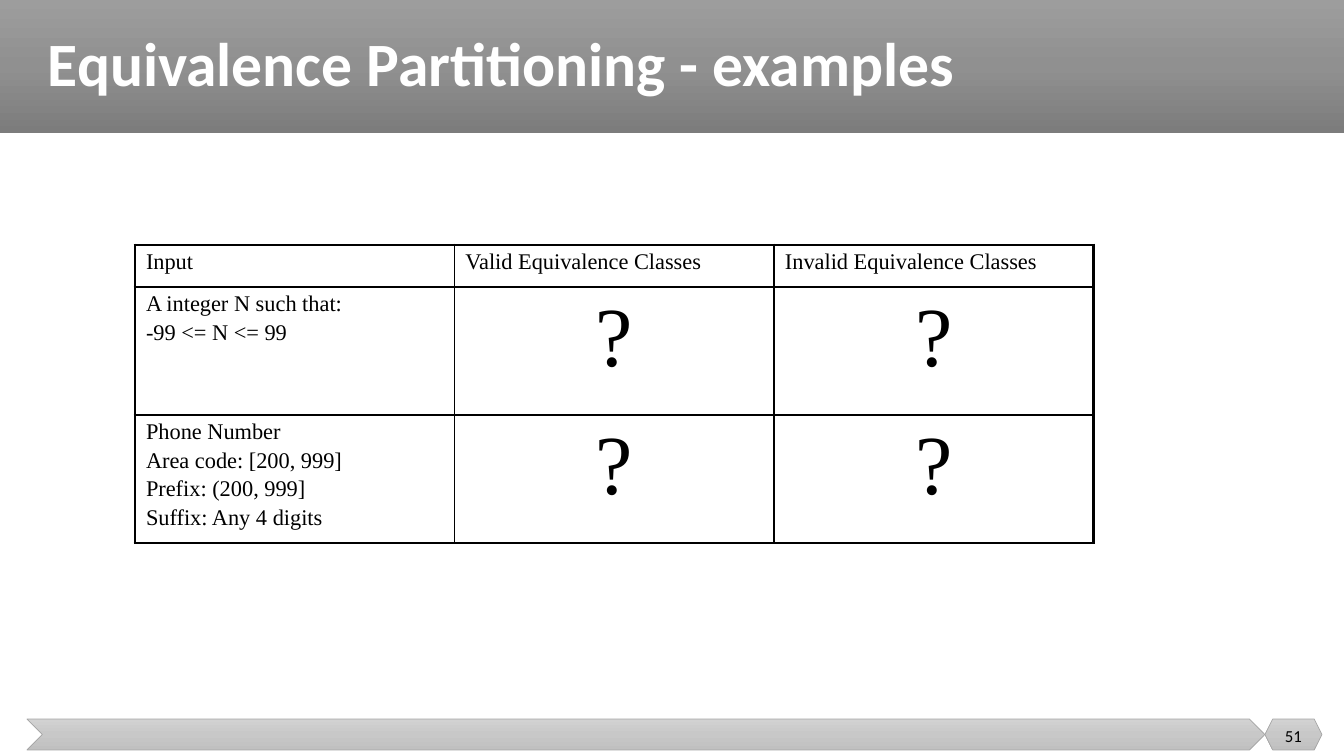
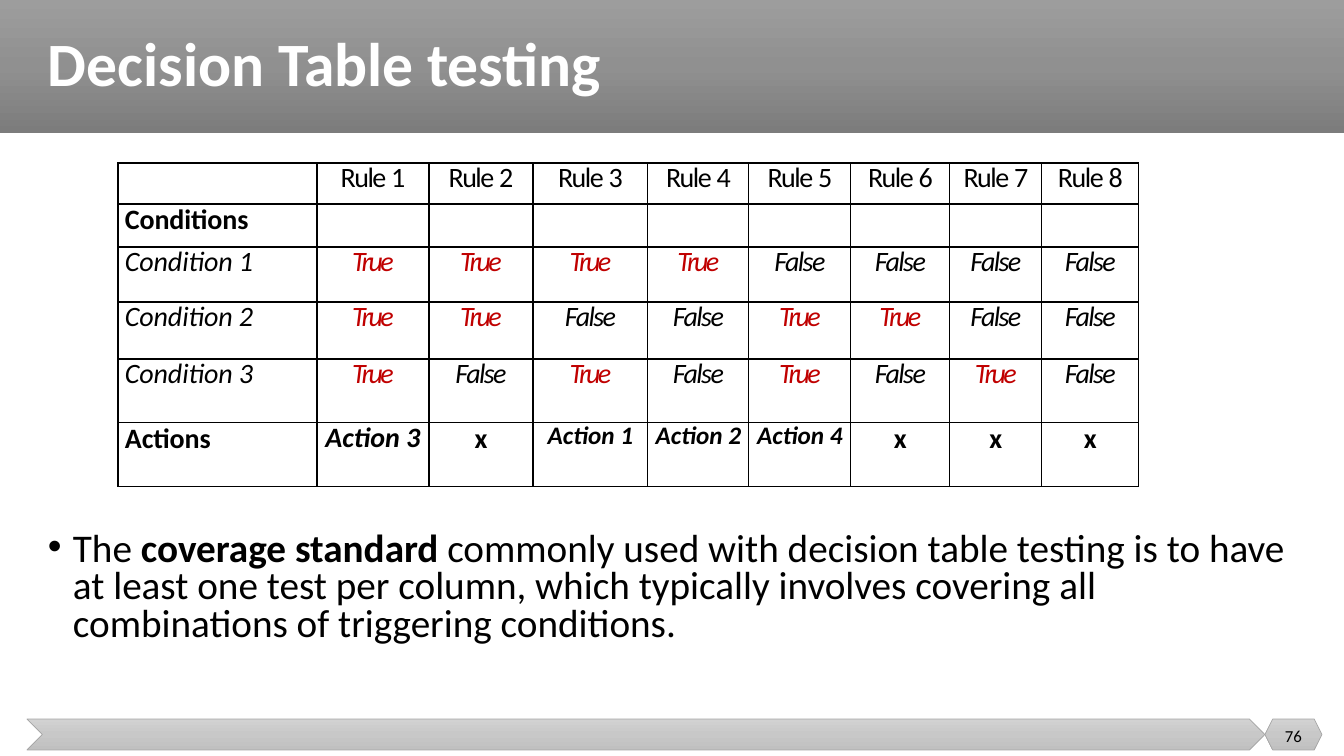
import lxml.etree
import pptx
import pptx.dml.color
import pptx.enum.shapes
import pptx.enum.text
import pptx.oxml.ns
import pptx.util

PX = 12700 * 72 / 100.8
COLORS = {
    "black": "000000", "white": "FFFFFF", "red": "C00000", "outline": "A5A5A5",
    "band": ["9D9D9D", "909090", "7C7C7C"],
    "footer": ["D2D2D2", "C8C8C8", "C0C0C0"],
}
ALIGN = pptx.enum.text.PP_ALIGN
ANCHOR = pptx.enum.text.MSO_ANCHOR
SHAPE = pptx.enum.shapes.MSO_SHAPE
qn = pptx.oxml.ns.qn


def write_text(frame, paragraphs, size=20, font="Calibri", color="black", bold=False,
               italic=False, spacing=0, align=ALIGN.LEFT, line_spacing=None,
               space_before=0, bullet=None, anchor=ANCHOR.TOP):
    """Each paragraph is a list of (text, overrides) runs."""
    frame.word_wrap = True
    frame.vertical_anchor = anchor
    for index, runs in enumerate(paragraphs):
        paragraph = frame.add_paragraph() if index else frame.paragraphs[0]
        paragraph.alignment = align
        paragraph.line_spacing = line_spacing
        if index:
            paragraph.space_before = pptx.util.Pt(space_before)
        if bullet:
            properties = paragraph._p.get_or_add_pPr()
            properties.set("marL", str(round(25 * PX)))
            properties.set("indent", str(round(-25 * PX)))
            lxml.etree.SubElement(properties, qn("a:buFont")).set("typeface", "Arial")
            lxml.etree.SubElement(properties, qn("a:buChar")).set("char", bullet)
        for text, overrides in runs:
            run = paragraph.add_run()
            run.text = text
            run.font.size = pptx.util.Pt(size)
            run.font.name = font
            run.font.bold = overrides.get("bold", bold)
            run.font.italic = italic
            run.font.color.rgb = pptx.dml.color.RGBColor.from_string(COLORS[color])
            run._r.get_or_add_rPr().set("spc", str(round(overrides.get("spacing", spacing) * 100)))


def add_grid(slide, left, top, widths, heights, outer, inner, inset_x, inset_y):
    """Add a table without fills, with outer and inner border widths in points."""
    table = slide.shapes.add_table(
        len(heights), len(widths), round(left * PX), round(top * PX),
        round(sum(widths) * PX), round(sum(heights) * PX)).table
    table.first_row = table.horz_banding = False
    for column, width in zip(table.columns, widths):
        column.width = round(width * PX)
    for row, height in zip(table.rows, heights):
        row.height = round(height * PX)
    for r in range(len(heights)):
        for c in range(len(widths)):
            cell = table.cell(r, c)
            cell.margin_left = cell.margin_right = round(inset_x * PX)
            cell.margin_top = cell.margin_bottom = round(inset_y * PX)
            properties = cell._tc.get_or_add_tcPr()
            edges = {"L": c == 0, "R": c == len(widths) - 1,
                     "T": r == 0, "B": r == len(heights) - 1}
            for side, is_outer in edges.items():
                line = lxml.etree.SubElement(properties, qn("a:ln" + side))
                line.set("w", str(pptx.util.Pt(outer if is_outer else inner)))
                fill = lxml.etree.SubElement(line, qn("a:solidFill"))
                lxml.etree.SubElement(fill, qn("a:srgbClr")).set("val", COLORS["black"])
            cell.fill.background()
    return table


presentation = pptx.Presentation()
presentation.slide_width = round(1344 * PX)
presentation.slide_height = round(756 * PX)

# Shared title band, footer and slide number
frame_shapes = [
    (SHAPE.RECTANGLE, 0, 0, 1344, 133, "band"),
    (SHAPE.CHEVRON, 27, 719, 1238, 31, "footer"),
    (SHAPE.HEXAGON, 1265, 719, 57, 31, "footer"),
]
slides = []
for title, number in [("Equivalence Partitioning - examples", "51"),
                      ("Decision Table testing", "76")]:
    slide = presentation.slides.add_slide(presentation.slide_layouts[6])
    slides.append(slide)
    for kind, left, top, width, height, gradient in frame_shapes:
        shape = slide.shapes.add_shape(kind, *(round(v * PX) for v in (left, top, width, height)))
        shape.shadow.inherit = False
        shape.fill.gradient()
        shape.fill.gradient_angle = 270
        stops = shape._element.spPr.find(qn("a:gradFill")).find(qn("a:gsLst"))
        for stop in list(stops):
            stops.remove(stop)
        for position, color in zip((0, 50000, 100000), COLORS[gradient]):
            stop = lxml.etree.SubElement(stops, qn("a:gs"))
            stop.set("pos", str(position))
            lxml.etree.SubElement(stop, qn("a:srgbClr")).set("val", color)
        if gradient == "band":
            shape.line.fill.background()
        else:
            shape.line.color.rgb = pptx.dml.color.RGBColor.from_string(COLORS["outline"])
            shape.line.width = pptx.util.Pt(0.5)
    title_box = slide.shapes.add_textbox(*(round(v * PX) for v in (38, 0, 1284, 133)))
    write_text(title_box.text_frame, [[(title, {})]], size=44, color="white", bold=True,
               line_spacing=0.9, anchor=ANCHOR.MIDDLE)
    number_box = slide.shapes.add_textbox(*(round(v * PX) for v in (1265, 716, 57, 40)))
    write_text(number_box.text_frame, [[(number, {})]], size=12, align=ALIGN.CENTER,
               anchor=ANCHOR.MIDDLE)

partition_slide, decision_slide = slides

# Equivalence classes table
partition_rows = [
    [["Input"], ["Valid Equivalence Classes"], ["Invalid Equivalence Classes"]],
    [["A integer N such that:", "-99 <= N <= 99"], ["?"], ["?"]],
    [["Phone Number", "Area code: [200, 999]", "Prefix: (200, 999]", "Suffix: Any 4 digits"],
     ["?"], ["?"]],
]
table = add_grid(partition_slide, 135, 245, [319.5] * 3, [42, 128, 128], 2.25, 1, 11, 5)
for r, row in enumerate(partition_rows):
    for c, lines in enumerate(row):
        is_question = lines == ["?"]
        write_text(table.cell(r, c).text_frame, [[(line, {})] for line in lines],
                   size=60 if is_question else 16, font="Times New Roman", space_before=2.5,
                   align=ALIGN.CENTER if is_question else ALIGN.LEFT)

# Decision table: T and F stand for True and False
decision_rows = [
    ("Condition 1", "TTTTFFFF"),
    ("Condition 2", "TTFFTTFF"),
    ("Condition 3", "TFTFTFTF"),
]
actions = ["Action 3", "x", "Action 1", "Action 2", "Action 4", "x", "x", "x"]
table = add_grid(decision_slide, 118, 163, [199, 112, 104, 115, 101, 102, 99, 92, 97],
                 [41, 43, 55, 57, 64, 64], 1, 1, 0, 0)
for r in range(6):
    table.cell(r, 0).margin_left = round(7 * PX)
for r, label in [(1, "Conditions"), (5, "Actions")]:
    write_text(table.cell(r, 0).text_frame, [[(label, {})]], bold=True, spacing=-0.1,
               line_spacing=pptx.util.Pt(23.4))
for c in range(1, 9):
    write_text(table.cell(0, c).text_frame,
               [[("Rule ", {"spacing": -1.1}), (str(c), {"spacing": -0.3})]],
               align=ALIGN.CENTER, line_spacing=pptx.util.Pt(22.8))
for r, (label, values) in enumerate(decision_rows, 2):
    write_text(table.cell(r, 0).text_frame, [[(label, {})]], italic=True, spacing=-0.1,
               line_spacing=pptx.util.Pt(22.8))
    for c, value in enumerate(values, 1):
        text, color, spacing = ("True", "red", -1.9) if value == "T" else ("False", "black", -1.2)
        write_text(table.cell(r, c).text_frame, [[(text, {})]], italic=True, color=color,
                   spacing=spacing, align=ALIGN.CENTER, line_spacing=pptx.util.Pt(22.8))
for c, action in enumerate(actions, 1):
    if action == "x":
        size, line_height = 20, 23.6
    else:
        size, line_height = (20, 22.8) if c == 1 else (18, 20.5)
    write_text(table.cell(5, c).text_frame, [[(action, {})]], size=size, bold=True,
               italic=action != "x", align=ALIGN.CENTER,
               line_spacing=pptx.util.Pt(line_height))

# Coverage standard
coverage_box = decision_slide.shapes.add_textbox(*(round(v * PX) for v in (38, 527, 1284, 130)))
write_text(coverage_box.text_frame, [[
    ("The ", {}),
    ("coverage standard ", {"bold": True}),
    ("commonly used with decision table testing is to have at least one test per column, "
     "which typically involves covering all combinations of triggering conditions.", {}),
]], size=28, line_spacing=0.8, bullet="•")

presentation.save("out.pptx")
